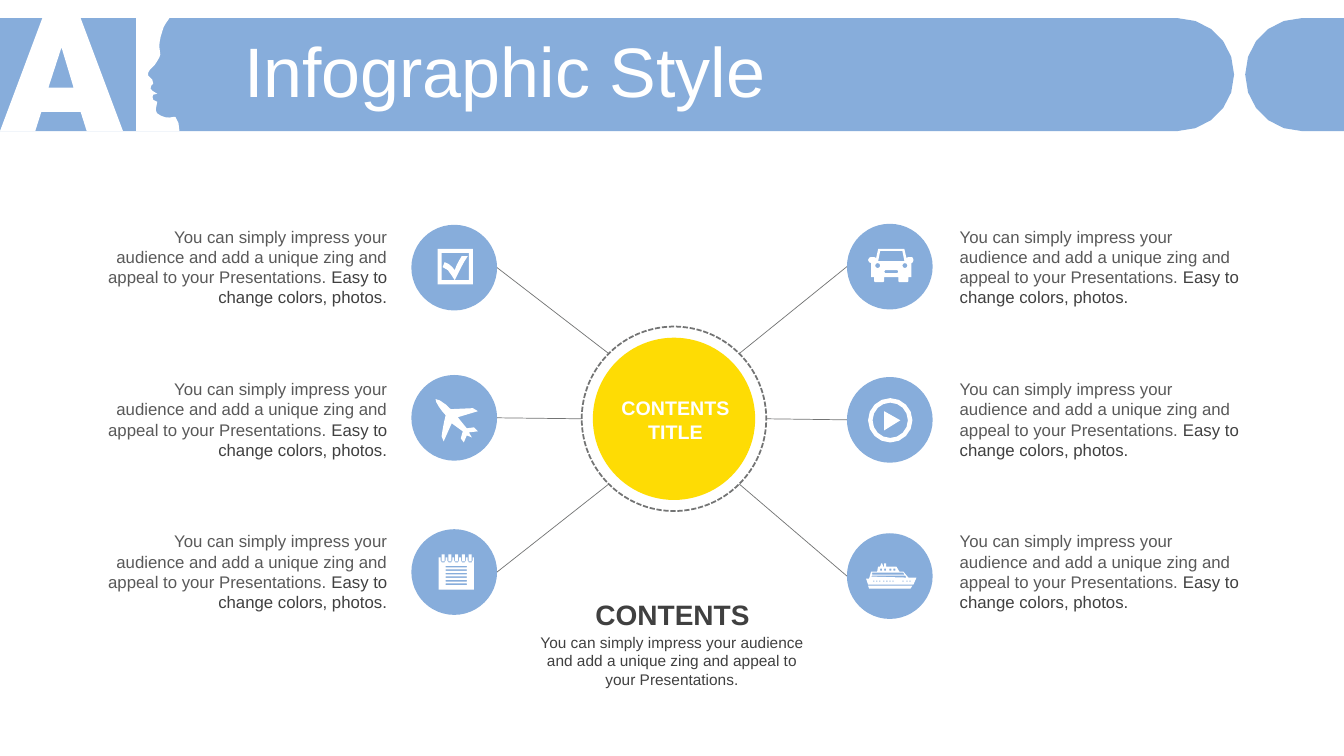
"""Build the Infographic Style slide: a central hub linked to six captioned icons."""
import math
from pptx import Presentation, util as u
from pptx.dml.color import RGBColor
from pptx.enum import dml, shapes, text
from lxml import etree

BLUE, YELLOW, WHITE, GREY, DARK, LINE = "87ADDB", "FEDC04", "FFFFFF", "595959", "404040", "737474"
FONT = "Arial"
W, H = 13.33, 7.5
TITLE = "Infographic Style"
CAPTION = [("You can simply impress your audience and add a unique zing "
            "and appeal to your Presentations. ", GREY),
           ("Easy to change colors, photos.", DARK)]
HUB_TEXT = ["CONTENTS", "TITLE"]
FOOT_HEAD = "CONTENTS"
FOOT_TEXT = "You can simply impress your audience and add a unique zing and appeal to your Presentations."


def box(x, y, w, h):
    return f"M {x},{y} {x + w},{y} {x + w},{y + h} {x},{y + h} "


def disc(x, y, r):
    k = 0.55 * r
    return (f"M {x},{y - r} C {x + k},{y - r} {x + r},{y - k} {x + r},{y} "
            f"{x + r},{y + k} {x + k},{y + r} {x},{y + r} "
            f"{x - k},{y + r} {x - r},{y + k} {x - r},{y} "
            f"{x - r},{y - k} {x - k},{y - r} {x},{y - r} ")


def notepad():
    rings = [2 + 6.7 * i for i in range(5)]
    notches = "".join(f"{x},3 {x},6 {x + 1},8 {x + 4},8 {x + 5},6 {x + 5},3 " for x in rings)
    return ("M 0,3 " + notches + "35,3 35,35 0,35 "
            + "".join(box(x + 1, 0, 3, 7) for x in rings)
            + "".join(box(7, 11.3 + 3.5 * i, 21, 1.6) for i in range(6)))


BAR = "M 0,18 1168,18 C 1199,18 1224,43 1224,74 1224,105 1199,130 1168,130 L 0,130"
BAR_END = "M 1291,18 1333,18 1333,130 1291,130 C 1260,130 1235,105 1235,74 1235,43 1260,18 1291,18"
LETTERS = ("M 42,18 80,18 122,130 86,130 80,111 41,111 35,130 0,130 M 61,47 48,87 73,87 "
           "M 135,18 168,18 C 164,24 162,26 161,31 159,37 158,42 158,46 L 159,54 158,57 "
           "C 157,59 153,66 151,67 148,69 146,73 147,75 L 151,79 152,83 150,85 "
           "C 149,87 149,89 151,90 L 156,93 152,94 C 151,95 151,97 152,99 L 156,101 155,106 "
           "C 154,109 154,113 160,115 164,117 168,117 172,116 L 174,116 177,122 178,130 135,130")
CHECK = (box(0, 0, 35, 35) + "M 4,4 4,31 17,31 C 14,27 11,19 5,18 L 7,13 C 12,15 14,17 17,21 "
         "19,15 21,12 24,7 L 30,7 C 25,14 21,23 17,31 L 31,31 31,4")
PLANE = ("M 42,32 33,33 36,38 31,36 28,43 25,39 27,32 16,24 8,42 "
         "6,37 C 7,30 8,24 10,16 6,12 -1,2 0,0 2,-1 12,6 15,10 L 37,9 42,12 22,18 31,29 38,28")
CAR = ("M 10,0 36,0 38,9 40,8 43,8 C 44,8 45,9 45,11 45,13 44,14 43,14 "
       "L 43,28 40,28 40,32 39,33 31,33 30,32 30,28 16,28 16,32 15,33 7,33 6,32 "
       "6,28 3,28 3,14 C 2,14 0,13 0,11 0,9 2,8 3,8 L 6,8 8,9 M 12,2 10,12 36,12 34,2 "
       "M 17,21 29,21 30,22.5 29,24 17,24 16,22.5 "
       + disc(9.5, 16.5, 2.5) + disc(36.5, 16.5, 2.5))
PLAY = disc(22, 22, 22) + disc(22, 22, 17.5) + "M 16,13 32,22 16,32"
SHIP = ("M 2,22 46,22 44,25 3,25 "
        "M 18,0 20,0 20,3 30,3 33,8 37,8 42,14 50,14 47,21 2,21 "
        "0,15 3,15 5,8 11,8 12,3 14,3 15,0 16,0 17,3 18,3 "
        "M 6,12 5,13 40,14 39,12 M 6,9 6,11 38,11 37,9 "
        + "".join(box(x, 17, 1.3, 1) for x in (7, 10, 13, 17, 20, 23, 26, 36, 40, 43))
        + "".join(box(x, 5, 2, 2) for x in (14, 18, 23, 27)))

SIDES = [
    dict(x=4.08, dir=-1, text_x=0.95, text_w=2.99, align="RIGHT",
         items=[(2.23, CHECK, 4.34, 2.47), (3.72, PLANE, 4.32, 3.96), (5.25, notepad(), 4.35, 5.5)]),
    dict(x=8.4, dir=1, text_x=9.42, text_w=2.97, align="LEFT",
         items=[(2.22, CAR, 8.61, 2.47), (3.74, PLAY, 8.61, 3.95), (5.29, SHIP, 8.59, 5.59)]),
]
NODE, HUB_X, HUB_Y, HUB_D, RING_D = 0.85, 6.685, 4.155, 1.61, 1.83
TEXT_TOP, TEXT_STEP = 2.2, 1.51

prs = Presentation()
prs.slide_width, prs.slide_height = u.Inches(W), u.Inches(H)
s = prs.slides.add_slide(prs.slide_layouts[5])


def rgb(value):
    return RGBColor.from_string(value)


def paint(sp, color):
    sp.shadow.inherit = False
    sp.fill.solid()
    sp.fill.fore_color.rgb = rgb(color)
    sp.line.fill.background()


def curve(knots):
    steps = min(5, math.ceil(0.7 * math.sqrt(math.dist(knots[0], knots[3]))))
    for t in (i / steps for i in range(1, steps + 1)):
        weights = [math.comb(3, k) * t ** k * (1 - t) ** (3 - k) for k in range(4)]
        yield tuple(sum(wt * k[axis] for wt, k in zip(weights, knots)) for axis in (0, 1))


def contours(path):
    out, mode, bend = [], "L", []
    for token in path.split():
        if token in "MLC":
            mode = token
            continue
        point = tuple(float(v) for v in token.split(","))
        if mode == "M":
            out.append([point])
            mode = "L"
        elif mode == "L":
            out[-1].append(point)
        else:
            bend.append(point)
            if len(bend) == 3:
                out[-1].extend(list(curve([out[-1][-1], *bend])))
                bend = []
    return out


def outline(path, color, x=0, y=0):
    loops = [[(px * 9144, py * 9144) for px, py in loop] for loop in contours(path)]
    fb = s.shapes.build_freeform(*loops[0][0], scale=1.0)
    for i, loop in enumerate(loops):
        if i:
            fb.move_to(*loop[0])
        fb.add_line_segments(loop[1:], close=True)
    paint(fb.convert_to_shape(u.Inches(x), u.Inches(y)), color)


def ellipse(x, y, d, color):
    sp = s.shapes.add_shape(shapes.MSO_SHAPE.OVAL, *map(u.Inches, (x, y, d, d)))
    paint(sp, color)
    return sp


def style(font, color, size, bold=False):
    for key, value in dict(name=FONT, size=u.Pt(size), bold=bold).items():
        setattr(font, key, value)
    font.color.rgb = rgb(color)


def write(area, paras, align, size, bold=False, inset=None):
    sp = s.shapes.add_textbox(*map(u.Inches, area))
    tf = sp.text_frame
    tf.word_wrap = True
    tf.auto_size = text.MSO_AUTO_SIZE.SHAPE_TO_FIT_TEXT
    if inset is not None:
        for side in ("left", "top", "right", "bottom"):
            setattr(tf, f"margin_{side}", inset)
    for i, runs in enumerate(paras):
        p = tf.add_paragraph() if i else tf.paragraphs[0]
        p.alignment = text.PP_ALIGN[align]
        for words, color in runs:
            r = p.add_run()
            r.text = words
            style(r.font, color, size, bold)


def link(x1, y1, x2, y2):
    cn = s.shapes.add_connector(shapes.MSO_CONNECTOR.STRAIGHT, *map(u.Inches, (x1, y1, x2, y2)))
    cn.line.width = u.Pt(0.5)
    cn.line.color.rgb = rgb(LINE)
    etree.SubElement(cn._element.spPr, "{http://schemas.openxmlformats.org/drawingml/2006/main}effectLst")


for path, color in ((BAR, BLUE), (LETTERS, WHITE), (BAR_END, BLUE)):
    outline(path, color)

title = s.shapes.title
title._element.getparent().append(title._element)
title.left, title.top, title.width, title.height = map(u.Inches, (2.32, 0.37, 10.69, 0.79))
tf = title.text_frame
tf.text = TITLE
for key, value in dict(vertical_anchor=text.MSO_ANCHOR.MIDDLE, word_wrap=True,
                       auto_size=text.MSO_AUTO_SIZE.NONE).items():
    setattr(tf, key, value)
p = tf.paragraphs[0]
p.alignment, p.line_spacing = text.PP_ALIGN.LEFT, 0.8
style(p.runs[0].font, WHITE, 50)

ellipse(HUB_X - HUB_D / 2, HUB_Y - HUB_D / 2, HUB_D, YELLOW)
ring = ellipse(HUB_X - RING_D / 2, HUB_Y - RING_D / 2, RING_D, WHITE)
ring.fill.background()
ring.line.color.rgb = rgb(LINE)
ring.line.width = u.Pt(1.25)
ring.line.dash_style = dml.MSO_LINE.SQUARE_DOT

for side in SIDES:
    for row, (top, icon, icon_x, icon_y) in enumerate(side["items"]):
        ellipse(side["x"], top, NODE, BLUE)
        outline(icon, WHITE, icon_x, icon_y)
        angle = math.radians(45 * (row - 1))
        link(side["x"] + (NODE if side["dir"] < 0 else 0), top + NODE / 2,
             HUB_X + side["dir"] * RING_D / 2 * math.cos(angle),
             HUB_Y + RING_D / 2 * math.sin(angle))
        write((side["text_x"], TEXT_TOP + row * TEXT_STEP, side["text_w"], 0.91),
              [CAPTION], side["align"], 12)

write((5.92, 3.88, 1.56, 0.57), [[(line, WHITE)] for line in HUB_TEXT], "CENTER", 14, True)
write((5.28, 5.93, 2.78, 0.34), [[(FOOT_HEAD, DARK)]], "CENTER", 20, True, 0)
write((5.29, 6.28, 2.75, 0.56), [[(FOOT_TEXT, DARK)]], "CENTER", 11, False, 0)

prs.save("out.pptx")
